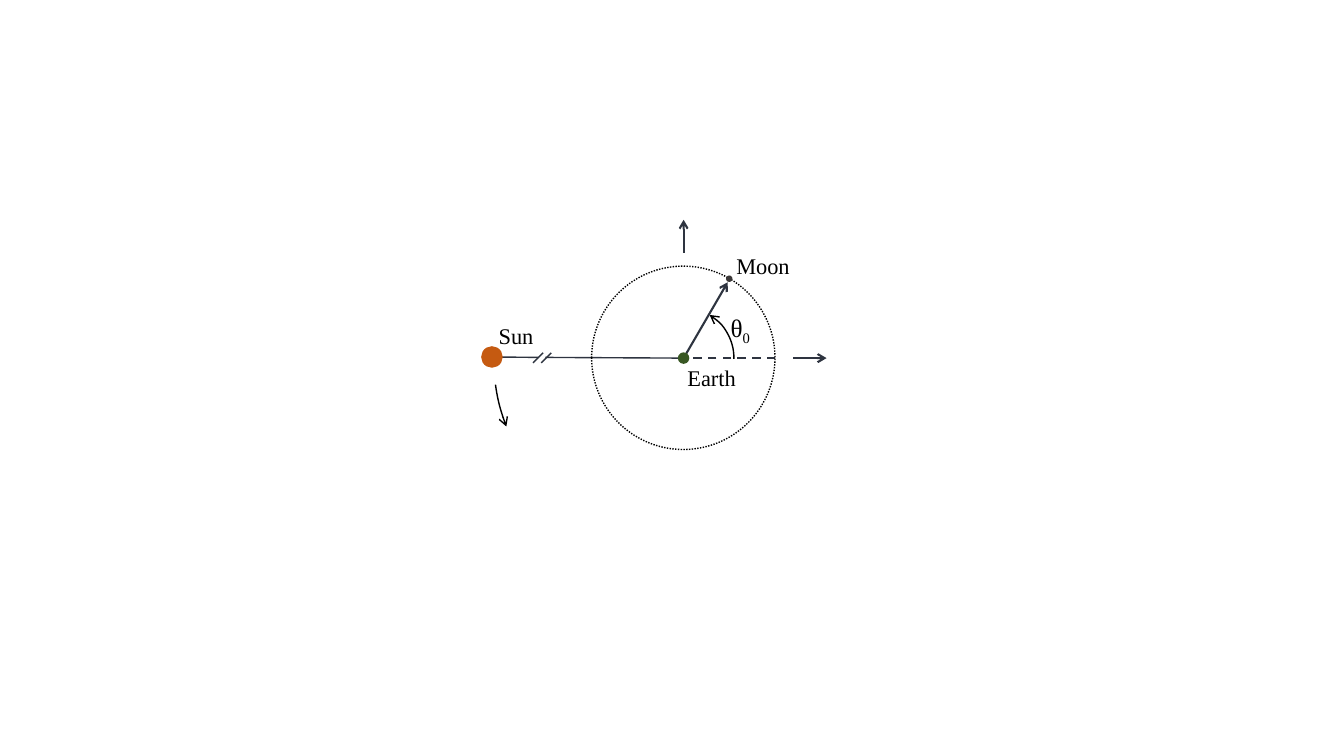
from dataclasses import dataclass

from pptx import Presentation
from pptx.dml.color import RGBColor
from pptx.enum.dml import MSO_LINE
from pptx.enum.shapes import MSO_CONNECTOR, MSO_SHAPE
from pptx.enum.text import MSO_AUTO_SIZE, PP_ALIGN
from pptx.oxml.ns import qn
from pptx.util import Pt


@dataclass(frozen=True)
class Theme:
    font: str = "Times New Roman"
    label: float = 16
    symbol: float = 18
    thin: float = 1
    thick: float = 1.5
    black: str = "000000"
    slate: str = "2E3440"
    sun: str = "C55A11"
    earth: str = "385723"
    moon: str = "3B3838"


def add_text(p, text, size, color, font, baseline=None):
    """Append one formatted run; baseline is a shift in percent."""
    r = p.add_run()
    r.text = text
    r.font.size, r.font.name = Pt(size), font
    r.font.color.rgb = RGBColor.from_string(color)
    if baseline is not None:
        r.font._element.set("baseline", str(baseline * 1000))


class Diagram:
    def __init__(self, slide, theme):
        self.s, self.theme = slide, theme

    def stroke(self, sp, color, width, dash=None, head=False, tail=False):
        sp.line.color.rgb = RGBColor.from_string(color)
        sp.line.width = Pt(width)
        if dash:
            sp.line.dash_style = dash
        ln = sp.line._get_or_add_ln()
        for tag, shown in (("a:headEnd", head), ("a:tailEnd", tail)):
            if shown:
                ln.append(ln.makeelement(qn(tag), {"type": "arrow"}))

    def line(self, start, end, width, dash=None, head=False):
        sp = self.s.shapes.add_connector(
            MSO_CONNECTOR.STRAIGHT, *map(Pt, (*start, *end)))
        self.stroke(sp, self.theme.slate, width, dash, head)
        sp_pr = sp._element.spPr
        sp_pr.append(sp_pr.makeelement(qn("a:effectLst"), {}))

    def round_shape(self, kind, center, radius):
        x, y = center
        sp = self.s.shapes.add_shape(
            kind, Pt(x - radius), Pt(y - radius), Pt(2 * radius), Pt(2 * radius))
        sp.shadow.inherit = False
        sp.fill.background()
        return sp

    def body(self, center, radius, color):
        sp = self.round_shape(MSO_SHAPE.OVAL, center, radius)
        sp.fill.solid()
        sp.fill.fore_color.rgb = RGBColor.from_string(color)
        self.stroke(sp, color, self.theme.thin)

    def orbit(self, center, radius):
        sp = self.round_shape(MSO_SHAPE.OVAL, center, radius)
        self.stroke(sp, self.theme.black, self.theme.thin, MSO_LINE.ROUND_DOT)

    def arc(self, center, radius, start, end, flip=False, **arrows):
        sp = self.round_shape(MSO_SHAPE.ARC, center, radius)
        for i, degrees in enumerate((start, end)):
            sp.adjustments[i] = degrees * 0.6  # 60000 units per degree
        if flip:
            sp._element.spPr.xfrm.set("flipH", "1")
        self.stroke(sp, self.theme.black, self.theme.thin, **arrows)

    def label(self, left, top, text, width=82, height=26.6, size=None, sub=None):
        t = self.theme
        size = size or t.label
        sp = self.s.shapes.add_textbox(*map(Pt, (left, top, width, height)))
        tf = sp.text_frame
        tf.word_wrap = True
        tf.auto_size = MSO_AUTO_SIZE.SHAPE_TO_FIT_TEXT
        p = tf.paragraphs[0]
        p.alignment = PP_ALIGN.CENTER
        add_text(p, text, size=size, color=t.black, font=t.font)
        if sub:
            add_text(p, sub, size=size, color=t.black, font=t.font, baseline=-25)


def main():
    prs = Presentation()
    prs.slide_width, prs.slide_height = Pt(960), Pt(540)
    t = Theme()
    d = Diagram(prs.slides.add_slide(prs.slide_layouts[6]), t)
    earth, sun, moon = (488.3, 255.8), (351.4, 255), (520.9, 199.1)
    ex, ey = earth
    orbit_radius = 65.5

    # Sun to Earth line and the moon's direction
    d.line(earth, (389.5, 255.3), t.thin)
    d.line((ex + orbit_radius, ey), earth, t.thick, MSO_LINE.DASH)
    d.line((519.8, 201.6), earth, t.thick, head=True)

    # Angle
    d.arc(earth, 36, 179.1, 238.79, flip=True, tail=True)
    d.label(478.8, 219.6, "θ", width=100, height=29, size=t.symbol, sub="0")

    # Orbit, Earth and moon
    d.orbit((ex - 0.2, ey - 0.2), orbit_radius)
    d.body(earth, 3.6, t.earth)
    d.body(moon, 1.8, t.moon)
    d.label(504, 176.4, "Moon")
    d.label(467.3, 256.3, "Earth")

    # Break marks and the sun
    for x in (393.8, 388):
        d.line((x, 252), (x - 7.2, 259.2), t.thin)
    d.line((384.5, 255.3), sun, t.thin)
    d.body(sun, 7.2, t.sun)
    d.label(327.6, 226.8, "Sun")

    # Axes and the sun's motion
    d.line((ex, 157), (ex, 180.7), t.thick, head=True)
    d.line((590.4, ey), (566.6, ey), t.thick, head=True)
    d.arc(earth, 135.7, 158.88, 171.94, head=True)

    prs.save("out.pptx")


if __name__ == "__main__":
    main()
